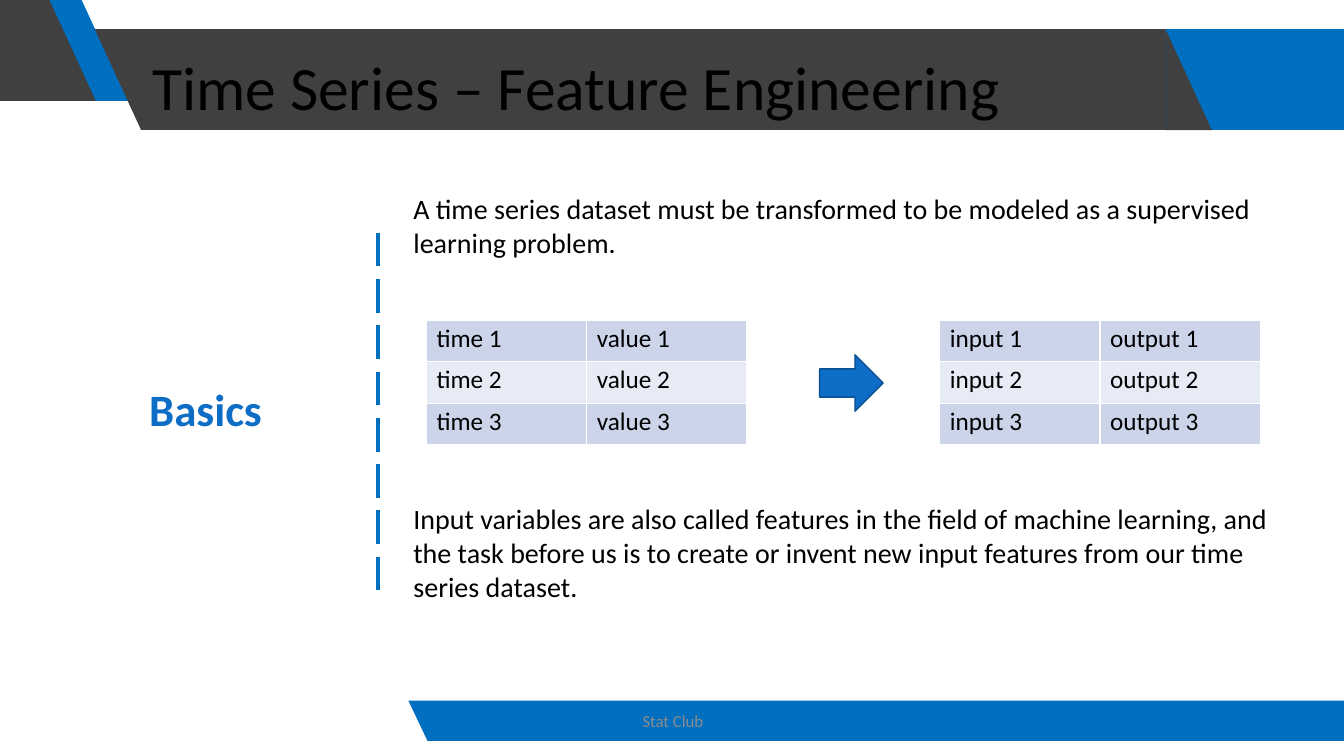
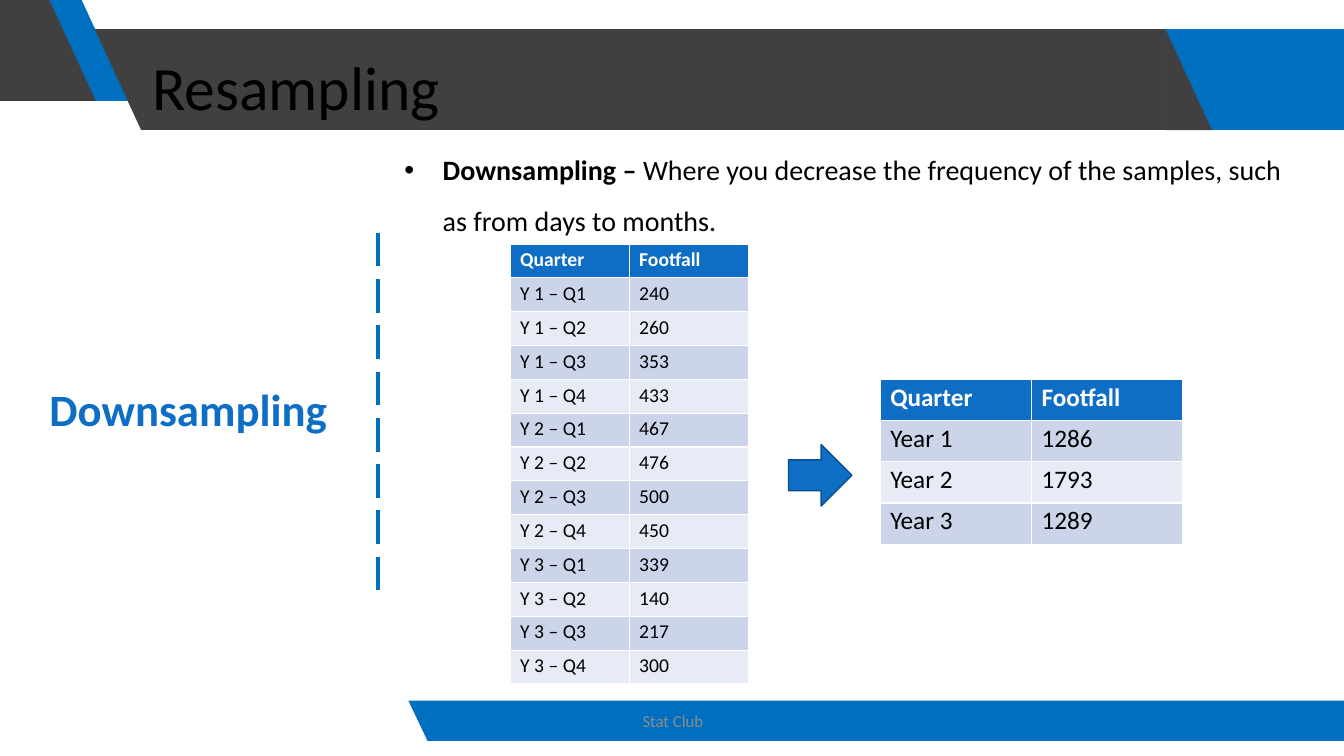
from dataclasses import dataclass

from lxml import etree
from pptx import Presentation
from pptx.dml.color import RGBColor
from pptx.enum import dml, shapes, text
from pptx.oxml import ns
from pptx.util import Inches, Pt


@dataclass(frozen=True)
class Theme:
    font: str = "Calibri"
    blue: str = "006FC0"
    accent: str = "0E6EC5"
    accent_edge: str = "085091"
    charcoal: str = "404040"
    black: str = "000000"
    white: str = "FFFFFF"
    grey: str = "8C8C8C"
    bands: tuple = ("CCD4EA", "E7EBF5")
    title_size: float = 44
    topic_size: float = 32
    body_size: float = 20
    table_size: float = 18
    small_table_size: float = 14
    footer_size: float = 12


THEME = Theme()
FOOTER = "Stat Club"
DECOR = [
    (THEME.blue, [[(11.56, 0.29), (13.33, 0.29), (13.33, 1.29), (11.56, 1.29)]]),
    (THEME.blue, [[(0.34, 0), (0.81, 0), (1.27, 1), (0.81, 1)]]),
    (THEME.charcoal, [
        [(0, 0), (0.49, 0), (0.95, 1), (0, 1)],
        [(0.94, 0.29), (1.4, 0.29), (1.4, 1.29)],
    ]),
    (THEME.charcoal, [[(11.56, 0.29), (12.02, 1.29), (11.56, 1.29)]]),
    (THEME.blue, [[(4.05, 6.95), (13.33, 6.95), (13.33, 7.35), (4.24, 7.35)]]),
]

FOOTFALL = [240, 260, 353, 433, 467, 476, 500, 450, 339, 140, 217, 300]
QUARTERS = [
    (f"Y {i // 4 + 1} – Q{i % 4 + 1}", count) for i, count in enumerate(FOOTFALL)
]
HEADER = ("Quarter", "Footfall")

SLIDES = [
    {
        "title": "Time Series – Feature Engineering",
        "topic": ("Basics", 1.47, 1.15),
        "paragraphs": [
            ("A time series dataset must be transformed to be modeled as "
             "a supervised learning problem.", 1.89, 0.7),
            ("Input variables are also called features in the field of machine "
             "learning, and the task before us is to create or invent new input "
             "features from our time series dataset.", 4.97, 1.03),
        ],
        "tables": [
            {"rows": [(f"{a} {n}", f"{b} {n}") for n in (1, 2, 3)],
             "at": (left, 3.18), "column": 1.59, "row": 0.41,
             "size": THEME.table_size, "inset": 0.03, "header": False}
            for left, a, b in ((4.23, "time", "value"), (9.32, "input", "output"))
        ],
        "arrow": (8.13, 3.52, 0.63, 0.56),
    },
    {
        "title": "Resampling",
        "topic": ("Downsampling", 0.48, 2.78),
        "bullet": ("Downsampling – ",
                   "Where you decrease the frequency of the samples, "
                   "such as from days to months."),
        "tables": [
            {"rows": [HEADER, ("Year 1", 1286), ("Year 2", 1793), ("Year 3", 1289)],
             "at": (8.73, 3.76), "column": 1.5, "row": 0.41,
             "size": THEME.table_size, "inset": 0.03, "header": True},
            {"rows": [HEADER, *QUARTERS],
             "at": (5.06, 2.42), "column": 1.18, "row": 0.336,
             "size": THEME.small_table_size, "inset": 0.04, "header": True},
        ],
        "arrow": (7.82, 4.41, 0.63, 0.61),
    },
]


def inches(values):
    return [Inches(value) for value in values]


def paint(shape, color, edge=None):
    shape.shadow.inherit = False
    shape.fill.solid()
    shape.fill.fore_color.rgb = RGBColor.from_string(color)
    if edge:
        shape.line.color.rgb = RGBColor.from_string(edge)
        shape.line.width = Pt(0.96)
    else:
        shape.line.fill.background()


def style(paragraph, size, color, bold=False):
    for run in paragraph.runs:
        run.font.name = THEME.font
        run.font.size = Pt(size)
        run.font.bold = bold
        run.font.color.rgb = RGBColor.from_string(color)


def set_margins(holder, left=0, top=0):
    holder.margin_left, holder.margin_top = inches((left, top))
    holder.margin_right = holder.margin_bottom = 0


def write(frame, words, size, color, bold=False, left=0.01, top=0.01, wrap=True):
    set_margins(frame, left, top)
    frame.word_wrap = wrap
    frame.text = words
    paragraph = frame.paragraphs[0]
    paragraph.alignment = text.PP_ALIGN.LEFT
    style(paragraph, size, color, bold)
    return paragraph


def add_text(slide, box, *args, **options):
    frame = slide.shapes.add_textbox(*inches(box)).text_frame
    return write(frame, *args, **options)


def add_outline(slide, color, contours):
    start, *rest = [inches(point) for point in contours[0]]
    builder = slide.shapes.build_freeform(*start)
    builder.add_line_segments(rest)
    for contour in contours[1:]:
        start, *rest = [inches(point) for point in contour]
        builder.move_to(*start)
        builder.add_line_segments(rest)
    paint(builder.convert_to_shape(), color)


def add_frame(slide, title):
    for color, contours in DECOR:
        add_outline(slide, color, contours)

    band = slide.shapes.add_shape(
        shapes.MSO_SHAPE.RECTANGLE, *inches((1.4, 0.29, 10.16, 1)))
    paint(band, THEME.charcoal)
    band.text_frame.vertical_anchor = text.MSO_ANCHOR.MIDDLE
    write(band.text_frame, title, THEME.title_size, THEME.black, left=0.11, top=0.12)

    footer = slide.shapes.add_textbox(*inches((4.42, 6.95, 4.5, 0.4))).text_frame
    footer.vertical_anchor = text.MSO_ANCHOR.MIDDLE
    write(footer, FOOTER, THEME.footer_size, THEME.grey).alignment = text.PP_ALIGN.CENTER

    divider = slide.shapes.add_connector(
        shapes.MSO_CONNECTOR.STRAIGHT, *inches((3.75, 2.31, 3.75, 5.86)))
    divider.line.color.rgb = RGBColor.from_string(THEME.blue)
    divider.line.width = Pt(3)
    divider.line.dash_style = dml.MSO_LINE.LONG_DASH
    etree.SubElement(divider.element.spPr, ns.qn("a:effectLst"))


def add_bullet(slide, term, meaning):
    paragraph = add_text(slide, (4, 1.35, 8.9, 1.03), term,
                         THEME.body_size, THEME.black, left=0, top=0)
    paragraph.add_run().text = meaning
    style(paragraph, THEME.body_size, THEME.black)
    paragraph.runs[0].font.bold = True
    paragraph.line_spacing = 1.5
    props = paragraph._p.get_or_add_pPr()
    props.set("marL", str(Inches(0.39)))
    props.set("indent", str(-Inches(0.38)))
    etree.SubElement(props, ns.qn("a:buFont"), typeface="Arial")
    etree.SubElement(props, ns.qn("a:buChar"), char="•")


def add_grid(slide, rows, at, column, row, size, inset, header):
    count, width = len(rows), len(rows[0])
    grid = slide.shapes.add_table(
        count, width, *inches((*at, column * width, row * count))).table
    grid.first_row = header
    for r, values in enumerate(rows):
        grid.rows[r].height = Inches(row)
        heading = header and r == 0
        fill = THEME.accent if heading else THEME.bands[(r - header) % 2]
        color = THEME.white if heading else THEME.black
        for c, value in enumerate(values):
            cell = grid.cell(r, c)
            set_margins(cell, 0.1, inset)
            cell.fill.solid()
            cell.fill.fore_color.rgb = RGBColor.from_string(fill)
            cell.text = str(value)
            style(cell.text_frame.paragraphs[0], size, color, heading)


def build_slide(deck, content):
    slide = deck.slides.add_slide(deck.slide_layouts[6])
    add_frame(slide, content["title"])
    topic, left, width = content["topic"]
    add_text(slide, (left, 3.78, width, 0.56), topic,
             THEME.topic_size, THEME.accent, bold=True, wrap=False)
    for words, top, height in content.get("paragraphs", []):
        add_text(slide, (4.09, top, 8.6, height), words, THEME.body_size, THEME.black)
    if "bullet" in content:
        add_bullet(slide, *content["bullet"])
    for grid in content["tables"]:
        add_grid(slide, **grid)
    arrow = slide.shapes.add_shape(
        shapes.MSO_SHAPE.RIGHT_ARROW, *inches(content["arrow"]))
    paint(arrow, THEME.accent, THEME.accent_edge)


def main():
    deck = Presentation()
    deck.slide_width, deck.slide_height = inches((13.33, 7.5))
    for content in SLIDES:
        build_slide(deck, content)
    deck.save("out.pptx")


if __name__ == "__main__":
    main()
